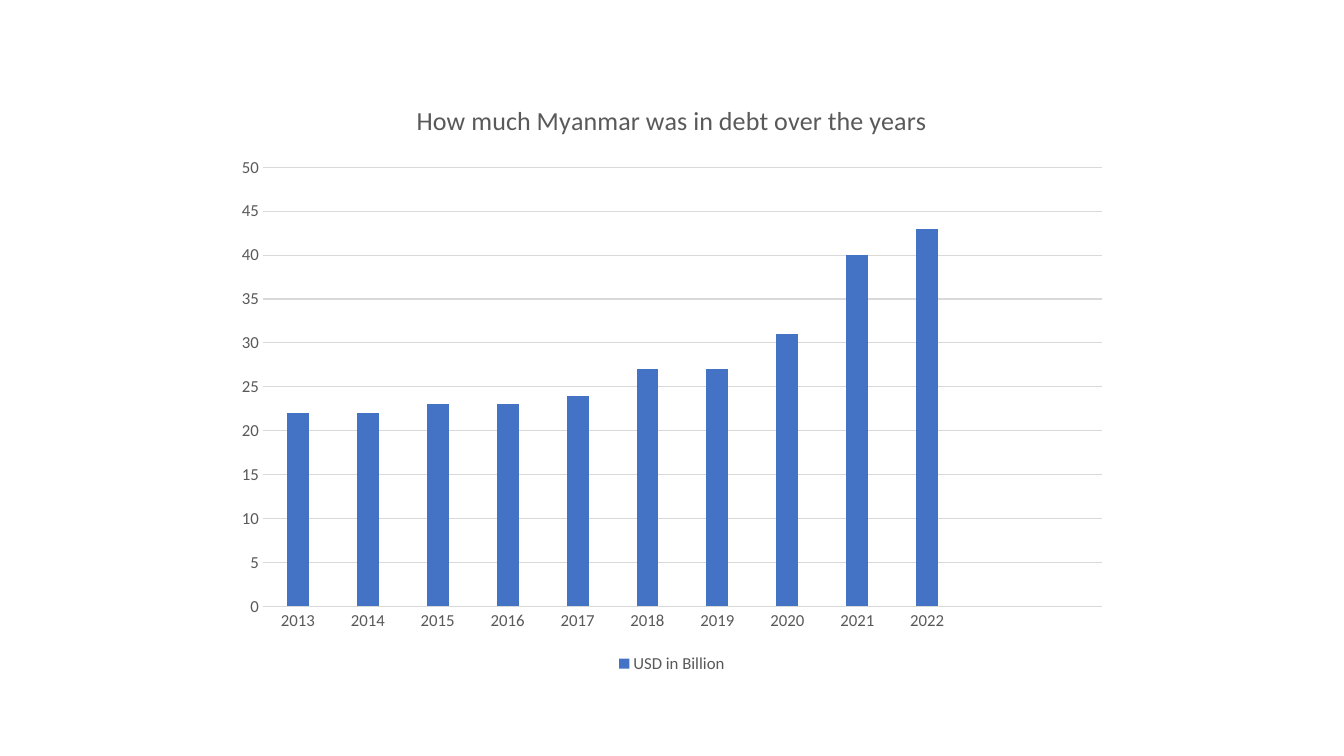
"""Build a slide with a column chart of Myanmar's debt by year."""
from pptx import Presentation
from pptx.chart.data import CategoryChartData
from pptx.dml.color import RGBColor
from pptx.enum.chart import XL_CHART_TYPE, XL_LEGEND_POSITION, XL_TICK_MARK
from pptx.util import Pt

COLUMN = XL_CHART_TYPE.COLUMN_CLUSTERED
BOTTOM = XL_LEGEND_POSITION.BOTTOM
NO_TICK = XL_TICK_MARK.NONE
FACE = "Calibri"
HUES = {"text": "595959", "grid": "D9D9D9", "bar": "4472C4"}
YEARS = [str(year) for year in range(2013, 2023)] + ["", ""]
DEBT = [22, 22, 23, 23, 24, 27, 27, 31, 40, 43, None, None]


def hue(name):
    """Return the named colour."""
    return RGBColor.from_string(HUES[name])


def set_font(font, size):
    """Give a font the chart's face and text colour."""
    font.name = FACE
    font.size = Pt(size)
    font.bold = False
    font.color.rgb = hue("text")


def set_line(line):
    """Draw a thin grey line."""
    line.color.rgb = hue("grid")
    line.width = Pt(0.75)


def set_title(chart, text):
    """Write the chart title."""
    chart.has_title = True
    frame = chart.chart_title.text_frame
    frame.text = text
    set_font(frame.paragraphs[0].runs[0].font, 18.6)
    chart.chart_title.include_in_layout = False


def set_axes(chart):
    """Style both axes and the grid."""
    for axis in (chart.category_axis, chart.value_axis):
        axis.major_tick_mark = axis.minor_tick_mark = NO_TICK
        set_font(axis.tick_labels.font, 12)
    set_line(chart.category_axis.format.line)
    value = chart.value_axis
    value.format.line.fill.background()
    value.minimum_scale, value.maximum_scale, value.major_unit = 0, 50, 5
    value.has_major_gridlines = True
    set_line(value.major_gridlines.format.line)


def set_bars(chart):
    """Colour and space the bars."""
    plot = chart.plots[0]
    plot.vary_by_categories = False
    plot.gap_width, plot.overlap = 219, -27
    fill = plot.series[0].format.fill
    fill.solid()
    fill.fore_color.rgb = hue("bar")


def set_key(chart):
    """Place the legend below the plot."""
    chart.has_legend = True
    chart.legend.position = BOTTOM
    chart.legend.include_in_layout = False
    set_font(chart.legend.font, 12)


def add_debt(slide):
    """Add the debt chart."""
    data = CategoryChartData()
    data.categories = YEARS
    data.add_series("USD in Billion", DEBT)
    frame = slide.shapes.add_chart(COLUMN, Pt(160), Pt(57), Pt(640), Pt(427), data)
    chart = frame.chart
    set_font(chart.font, 12)
    set_title(chart, "How much Myanmar was in debt over the years")
    set_axes(chart)
    set_bars(chart)
    set_key(chart)


def main():
    """Make and save the slide."""
    deck = Presentation()
    deck.slide_width, deck.slide_height = Pt(960), Pt(540)
    slide = deck.slides.add_slide(deck.slide_layouts[6])
    add_debt(slide)
    deck.save("out.pptx")


if __name__ == "__main__":
    main()
